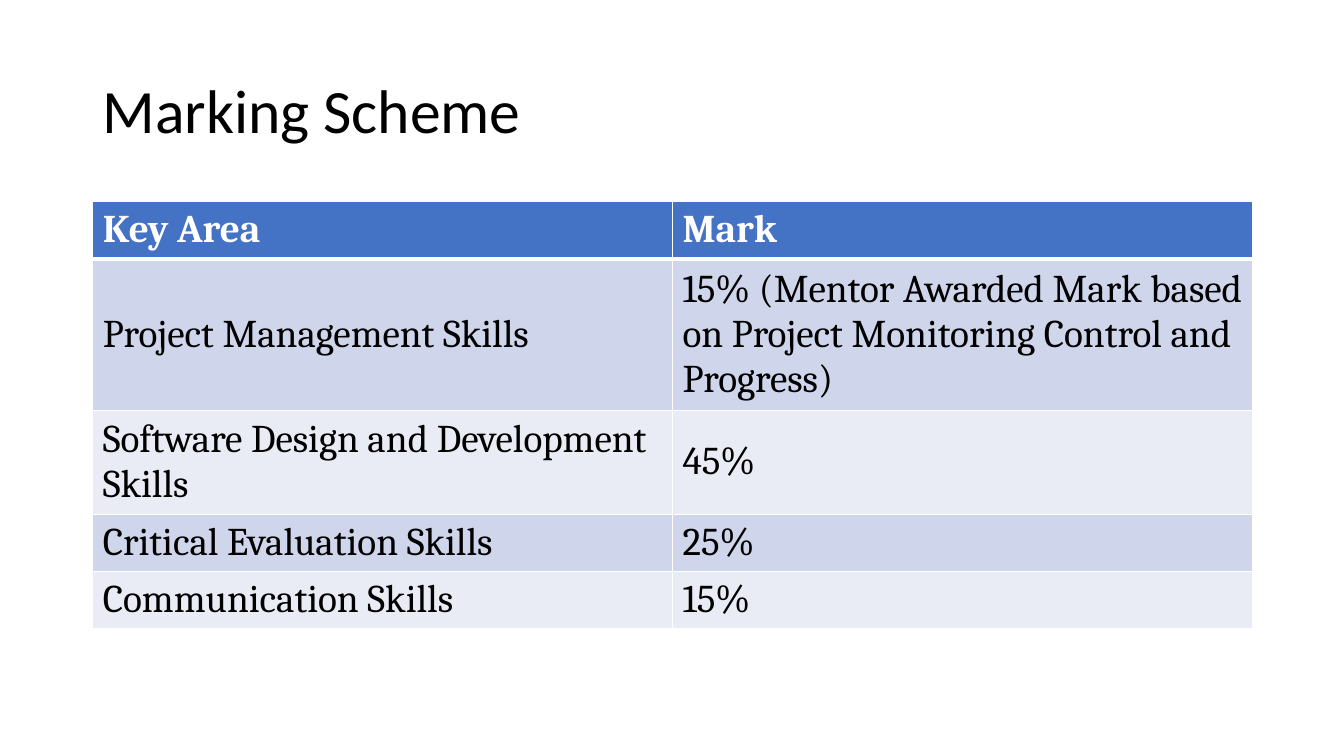
import pptx
import pptx.dml.color
import pptx.enum.text
import pptx.oxml
import pptx.oxml.ns
import pptx.util

TITLE = "Marking Scheme"
ROWS = [
    ("Key Area", "Mark"),
    ("Project Management Skills",
     "15% (Mentor Awarded Mark based on Project Monitoring Control and Progress)"),
    ("Software Design and Development Skills", "45%"),
    ("Critical Evaluation Skills", "25%"),
    ("Communication Skills", "15%"),
]
HEADER_FILL = "4472C4"
BAND_FILLS = ["CFD5EA", "E9EBF5"]
WHITE, BLACK = "FFFFFF", "000000"
TITLE_FONT = {"name": "Calibri", "size": pptx.util.Pt(44), "bold": False}
HEADER_FONT = {"name": "Cambria", "size": pptx.util.Pt(28), "bold": True}
BODY_FONT = {**HEADER_FONT, "bold": False}

SLIDE_WIDTH, SLIDE_HEIGHT = pptx.util.Inches(13.33), pptx.util.Inches(7.5)
LEFT = pptx.util.Inches(0.92)
CONTENT_WIDTH = pptx.util.Inches(11.5)
TITLE_TOP, TITLE_HEIGHT = pptx.util.Inches(0.4), pptx.util.Inches(1.45)
TABLE_TOP = pptx.util.Inches(2)
ROW_HEIGHT = pptx.util.Inches(0.41)
MIDDLE = pptx.enum.text.MSO_ANCHOR.MIDDLE


def color(value):
    return pptx.dml.color.RGBColor.from_string(value)


def style_font(font, values, font_color):
    for name, value in values.items():
        setattr(font, name, value)
    font.color.rgb = color(font_color)


def add_borders(cell, widths):
    """Draw white borders; widths maps the sides L, R, T, B to points."""
    properties = cell._tc.get_or_add_tcPr()
    for side, width in widths.items():
        properties.append(pptx.oxml.parse_xml(
            f'<a:ln{side} {pptx.oxml.ns.nsdecls("a")} w="{pptx.util.Pt(width)}">'
            f'<a:solidFill><a:srgbClr val="{WHITE}"/></a:solidFill></a:ln{side}>'))


def add_title(slide):
    box = slide.shapes.add_textbox(LEFT, TITLE_TOP, CONTENT_WIDTH, TITLE_HEIGHT)
    frame = box.text_frame
    frame.word_wrap = True
    frame.vertical_anchor = MIDDLE
    paragraph = frame.paragraphs[0]
    paragraph.line_spacing = 0.9
    run = paragraph.add_run()
    run.text = TITLE
    style_font(run.font, TITLE_FONT, BLACK)


def add_marks_table(slide):
    table = slide.shapes.add_table(
        len(ROWS), len(ROWS[0]), LEFT, TABLE_TOP,
        CONTENT_WIDTH, ROW_HEIGHT * len(ROWS)).table
    for row_index, texts in enumerate(ROWS):
        is_header = row_index == 0
        fill = HEADER_FILL if is_header else BAND_FILLS[(row_index - 1) % 2]
        borders = {"L": 1, "R": 1, "T": 3 if row_index == 1 else 1,
                   "B": 3 if is_header else 1}
        for column_index, text in enumerate(texts):
            cell = table.cell(row_index, column_index)
            cell.vertical_anchor = MIDDLE
            add_borders(cell, borders)
            cell.fill.solid()
            cell.fill.fore_color.rgb = color(fill)
            run = cell.text_frame.paragraphs[0].add_run()
            run.text = text
            style_font(run.font, HEADER_FONT if is_header else BODY_FONT,
                       WHITE if is_header else BLACK)


def main():
    presentation = pptx.Presentation()
    presentation.slide_width = SLIDE_WIDTH
    presentation.slide_height = SLIDE_HEIGHT
    slide = presentation.slides.add_slide(presentation.slide_layouts[6])
    add_title(slide)
    add_marks_table(slide)
    presentation.save("out.pptx")


if __name__ == "__main__":
    main()
